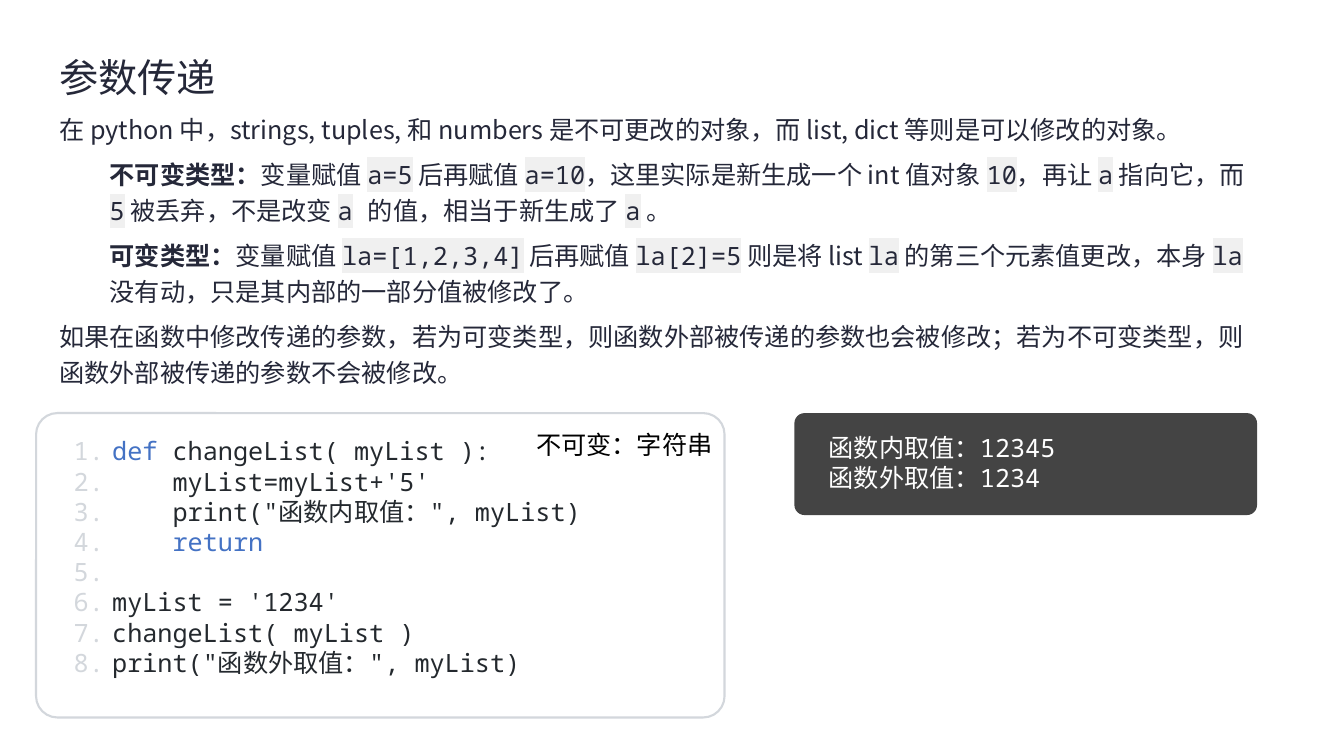
from dataclasses import dataclass

import pptx
import pptx.util
import pptx.dml.color
import pptx.enum.shapes
import pptx.enum.text
import pptx.oxml.ns
from lxml import etree
from pptx.util import Cm, Pt

ALIGN = pptx.enum.text.PP_ALIGN
ANCHOR = pptx.enum.text.MSO_ANCHOR
AUTO = pptx.enum.text.MSO_AUTO_SIZE
qn = pptx.oxml.ns.qn


@dataclass(frozen=True)
class Theme:
    sans: str = "Noto Sans CJK SC"
    mono: str = "Noto Sans Mono"
    title_size: int = 28
    text_size: int = 18
    ink: str = "252839"
    code: str = "24292E"
    keyword: str = "4472C4"
    muted: str = "D3D7DC"
    mark: str = "F0F0F0"
    panel: str = "444444"
    white: str = "FFFFFF"
    black: str = "000000"


T = Theme()

# Each paragraph is (level, runs); each run is (style, text).
BODY = [
    (0, [("text", "在 python 中，strings, tuples, 和 numbers 是不可更改的对象，"
                  "而 list, dict 等则是可以修改的对象。")]),
    (1, [("bold", "不可变类型："), ("text", "变量赋值 "), ("mark", "a=5"),
         ("text", " 后再赋值 "), ("mark", "a=10"),
         ("text", "，这里实际是新生成一个 int 值对象 "), ("mark", "10"),
         ("text", "，再让 "), ("mark", "a"), ("text", " 指向它，而 "),
         ("mark", "5"), ("text", " 被丢弃，不是改变 "), ("mark", "a"),
         ("mono", " "), ("text", "的值，相当于新生成了 "), ("mark", "a"),
         ("text", " 。")]),
    (1, [("bold", "可变类型："), ("text", "变量赋值 "), ("mark", "la=[1,2,3,4]"),
         ("text", " 后再赋值 "), ("mark", "la[2]=5"),
         ("text", " 则是将 list "), ("mark", "la"),
         ("text", " 的第三个元素值更改，本身 "), ("mark", "la"),
         ("mono", " "), ("text", "没有动，只是其内部的一部分值被修改了。")]),
    (0, [("text", "如果在函数中修改传递的参数，若为可变类型，则函数外部被传递的参数"
                  "也会被修改；若为不可变类型，则函数外部被传递的参数不会被修改。")]),
]

CODE = [
    [(T.keyword, "def "), (T.code, "changeList( myList ):")],
    [(T.code, "    myList=myList+'5'")],
    [(T.code, "    print(\"函数内取值：\", myList)")],
    [(T.code, "    "), (T.keyword, "return")],
    [(T.code, " ")],
    [(T.code, "myList = '1234'")],
    [(T.code, "changeList( myList )")],
    [(T.code, "print(\"函数外取值：\", myList)")],
]

OUTPUT = ["函数内取值：12345", "函数外取值：1234"]


def rgb(value):
    return pptx.dml.color.RGBColor.from_string(value)


def add_run(p, text, color, font=T.sans, size=T.text_size, bold=False, mark=None):
    r = p.add_run()
    r.text = text
    r.font.size = Pt(size)
    r.font.bold = bold
    r.font.color.rgb = rgb(color)
    rPr = r.font._element
    if mark:
        highlight = etree.SubElement(rPr, qn("a:highlight"))
        etree.SubElement(highlight, qn("a:srgbClr"), val=mark)
    r.font.name = font
    etree.SubElement(rPr, qn("a:ea"), typeface=T.sans)


def next_paragraph(tf, index):
    return tf.add_paragraph() if index else tf.paragraphs[0]


def place(sp, box):
    sp.left, sp.top, sp.width, sp.height = (Cm(v) for v in box)


def set_spacing(p):
    p.line_spacing = 1.2
    p.space_before = Pt(0)
    p.space_after = Pt(6)
    p.alignment = ALIGN.LEFT


def set_list(p, indent, hanging=0):
    """Indent a paragraph; a hanging indent also gives it a muted number."""
    pPr = p._p.get_or_add_pPr()
    pPr.set("marL", str(Cm(indent)))
    pPr.set("indent", str(-Cm(hanging)))
    if not hanging:
        etree.SubElement(pPr, qn("a:buNone"))
        return
    color = etree.SubElement(pPr, qn("a:buClr"))
    etree.SubElement(color, qn("a:srgbClr"), val=T.muted)
    etree.SubElement(pPr, qn("a:buFont"), typeface=T.mono)
    etree.SubElement(pPr, qn("a:buAutoNum"), type="arabicPeriod")


def add_title(s, box):
    sp = s.shapes.title
    place(sp, box)
    tf = sp.text_frame
    tf.auto_size = AUTO.NONE
    tf.vertical_anchor = ANCHOR.TOP
    set_spacing(tf.paragraphs[0])
    add_run(tf.paragraphs[0], "参数传递", T.ink, size=T.title_size)


def add_body(s, box):
    styles = {
        "text": {},
        "bold": {"bold": True},
        "mono": {"font": T.mono},
        "mark": {"font": T.mono, "mark": T.mark},
    }
    sp = s.placeholders[1]
    place(sp, box)
    tf = sp.text_frame
    tf.auto_size = AUTO.NONE
    tf.vertical_anchor = ANCHOR.TOP
    for i, (level, runs) in enumerate(BODY):
        p = next_paragraph(tf, i)
        p.level = level
        set_spacing(p)
        set_list(p, 1.27 * level)
        for style, text in runs:
            add_run(p, text, T.ink, **styles[style])


def add_panel(s, box, fill, radius):
    sp = s.shapes.add_shape(pptx.enum.shapes.MSO_SHAPE.ROUNDED_RECTANGLE,
                            *(Cm(v) for v in box))
    sp.adjustments[0] = radius
    sp.shadow.inherit = False
    sp.fill.solid()
    sp.fill.fore_color.rgb = rgb(fill)
    sp.line.fill.background()
    tf = sp.text_frame
    tf.word_wrap = True
    tf.vertical_anchor = ANCHOR.TOP
    tf.margin_left, tf.margin_right = Cm(0.79), Cm(0.61)
    tf.margin_top = tf.margin_bottom = Cm(0.41)
    return sp


def add_output(s, box):
    tf = add_panel(s, box, T.panel, 0.1).text_frame
    for i, line in enumerate(OUTPUT):
        p = next_paragraph(tf, i)
        p.alignment = ALIGN.LEFT
        add_run(p, line, T.white, T.mono)


def add_code(s, box):
    sp = add_panel(s, box, T.white, 0.07)
    sp.line.color.rgb = rgb(T.muted)
    sp.line.width = Pt(1.5)
    for i, runs in enumerate(CODE):
        p = next_paragraph(sp.text_frame, i)
        p.alignment = ALIGN.JUSTIFY
        set_list(p, 0.97, 0.97)
        for color, text in runs:
            add_run(p, text, color, T.mono)
    left, top, width, _ = box
    label_width = 5
    label = s.shapes.add_textbox(Cm(left + width - label_width), Cm(top + 0.28),
                                 Cm(label_width), Cm(1.02))
    label.text_frame.word_wrap = False
    label.text_frame.auto_size = AUTO.SHAPE_TO_FIT_TEXT
    add_run(label.text_frame.paragraphs[0], "不可变：字符串", T.black)


def main():
    prs = pptx.Presentation()
    prs.slide_width, prs.slide_height = Cm(33.87), Cm(19.05)
    s = prs.slides.add_slide(prs.slide_layouts[1])
    add_title(s, (1.24, 0.97, 30.43, 1.7))
    add_body(s, (1.24, 2.6, 30.43, 7.33))
    add_output(s, (20.02, 10.41, 11.66, 2.57))
    add_code(s, (0.91, 10.41, 17.35, 7.67))
    prs.save("out.pptx")


if __name__ == "__main__":
    main()
